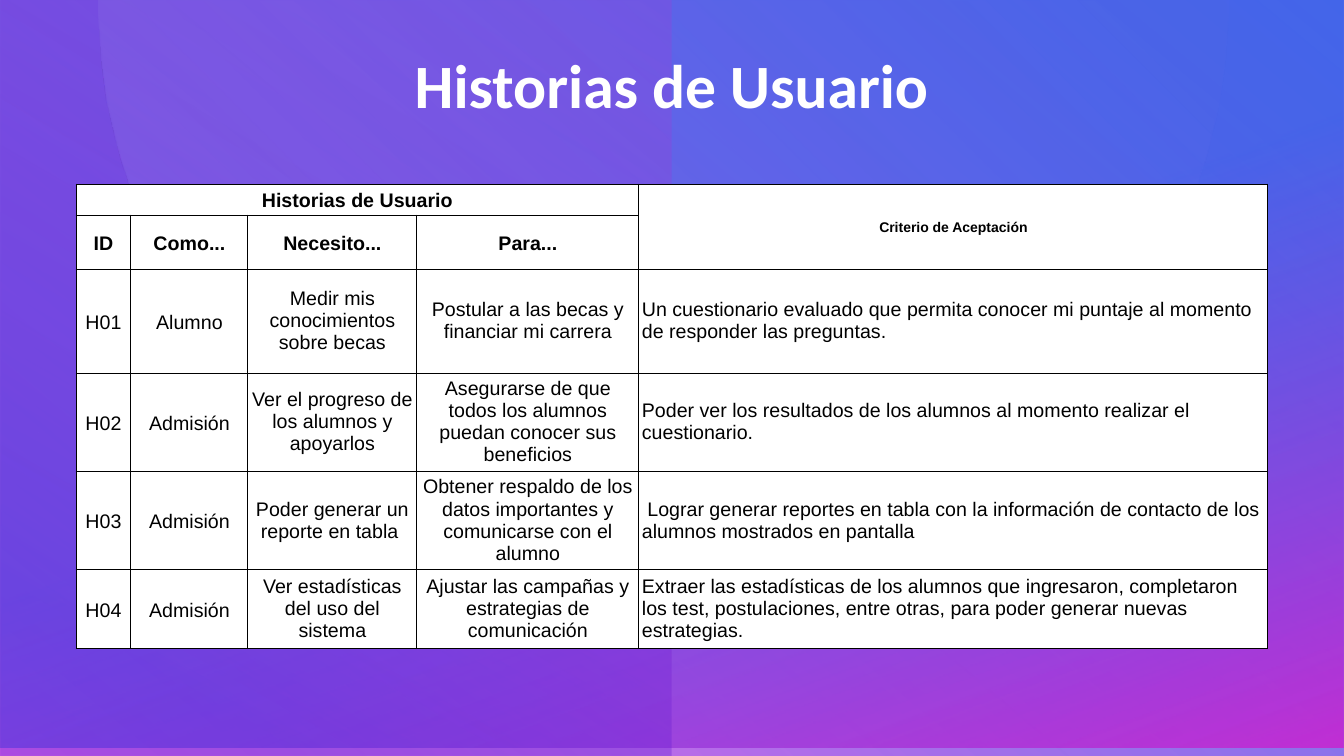
from math import cos, pi, sin

from pptx import Presentation
from pptx.dml.color import RGBColor
from pptx.enum.shapes import MSO_SHAPE
from pptx.enum.text import MSO_ANCHOR, PP_ALIGN
from pptx.oxml import parse_xml
from pptx.oxml.ns import nsdecls, qn
from pptx.util import Pt

RECTANGLE = MSO_SHAPE.RECTANGLE
MIDDLE = MSO_ANCHOR.MIDDLE
CENTER = PP_ALIGN.CENTER
LEFT = PP_ALIGN.LEFT

WIDTH, HEIGHT = 1344, 756
SCALE = 12192000 / WIDTH
COLORS = {
    "white": "FFFFFF",
    "black": "000000",
    "blue": "2950E7",
    "violet": "4922D7",
    "magenta": "D517CC",
    "pink": "EF68E9",
    "lavender": "8F77E9",
}
COLUMNS = [55, 117, 169, 222, 423, 206]
ROWS = [30, 54, 104, 92, 93, 79]
HEADINGS = ["ID", "Como...", "Necesito...", "Para..."]
STORIES = [
    ("H01", "Alumno", "Medir mis conocimientos sobre becas",
     "Postular a las becas y financiar mi carrera",
     "Un cuestionario evaluado que permita conocer mi puntaje al momento "
     "de responder las preguntas."),
    ("H02", "Admisión", "Ver el progreso de los alumnos y apoyarlos",
     "Asegurarse de que todos los alumnos puedan conocer sus beneficios",
     "Poder ver los resultados de los alumnos al momento realizar el cuestionario."),
    ("H03", "Admisión", "Poder generar un reporte en tabla ",
     "Obtener respaldo de los datos importantes y comunicarse con el alumno",
     " Lograr generar reportes en tabla con la información de contacto de los "
     "alumnos mostrados en pantalla"),
    ("H04", "Admisión", "Ver estadísticas del uso del sistema",
     "Ajustar las campañas y estrategias de comunicación",
     "Extraer las estadísticas de los alumnos que ingresaron, completaron los test, "
     "postulaciones, entre otras, para poder generar nuevas estrategias."),
]


def px(length):
    return round(length * SCALE)


def color(name):
    return RGBColor.from_string(COLORS[name])


class Slide:
    def __init__(self, page):
        self.page = page

    def plain(self, shape):
        shape.shadow.inherit = False
        shape.line.fill.background()
        return shape

    def gradient(self, shape, stops, angle):
        shape.fill.background()
        stop_xml = "".join(
            f'<a:gs pos="{position * 1000}"><a:srgbClr val="{COLORS[name]}">'
            f'<a:alpha val="{alpha * 1000}"/></a:srgbClr></a:gs>'
            for position, name, alpha in stops
        )
        fill = parse_xml(
            f'<a:gradFill {nsdecls("a")} rotWithShape="1"><a:gsLst>{stop_xml}</a:gsLst>'
            f'<a:lin ang="{angle * 60000}" scaled="0"/></a:gradFill>'
        )
        properties = shape._element.spPr
        properties.replace(properties.find(qn("a:noFill")), fill)

    def rectangle(self, x, y, width, height):
        return self.plain(self.page.shapes.add_shape(
            RECTANGLE, px(x), px(y), px(width), px(height)))

    def turned_panel(self, x, y, width, height, stops, angle, flipped):
        panel = self.rectangle(x, y, width, height)
        panel.rotation = 180
        if flipped:
            panel._element.spPr.find(qn("a:xfrm")).set("flipH", "1")
        self.gradient(panel, stops, angle)

    def half_disc(self, x, y, radius, stops, angle, rotation):
        steps = 120
        arc = [(x + radius * sin(pi * step / steps), y - radius * cos(pi * step / steps))
               for step in range(steps + 1)]
        builder = self.page.shapes.build_freeform(*arc[0], scale=SCALE)
        builder.add_line_segments(arc[1:], close=True)
        disc = self.plain(builder.convert_to_shape())
        disc.rotation = rotation
        self.gradient(disc, stops, angle)

    def set_text(self, frame, text, size, name, font="Arial", bold=False,
                 align=CENTER, spacing=None):
        frame.word_wrap = True
        para = frame.paragraphs[0]
        para.text = text
        para.alignment = align
        para.line_spacing = spacing
        para.font.name = font
        para.font.size = Pt(size)
        para.font.bold = bold
        para.font.color.rgb = color(name)

    def title(self, x, y, width, height, text):
        box = self.page.shapes.add_textbox(px(x), px(y), px(width), px(height))
        frame = box.text_frame
        frame.margin_left = frame.margin_right = 0
        frame.margin_top = frame.margin_bottom = 0
        frame.vertical_anchor = MIDDLE
        self.set_text(frame, text, 44, "white", font="Calibri", bold=True)

    def table(self, x, y, columns, rows):
        table = self.page.shapes.add_table(
            len(rows), len(columns), px(x), px(y), px(sum(columns)), px(sum(rows))).table
        table.first_row = table.horz_banding = False
        for column, width in zip(table.columns, columns):
            column.width = px(width)
        for row, height in zip(table.rows, rows):
            row.height = px(height)
        for cell in table.iter_cells():
            self.style_cell(cell)
        return table

    def style_cell(self, cell):
        cell.margin_left = cell.margin_right = px(3)
        cell.margin_top = cell.margin_bottom = px(2)
        cell.vertical_anchor = MIDDLE
        cell.fill.solid()
        cell.fill.fore_color.rgb = color("white")
        properties = cell._tc.get_or_add_tcPr()
        for index, side in enumerate(("lnL", "lnR", "lnT", "lnB")):
            properties.insert(index, parse_xml(
                f'<a:{side} {nsdecls("a")} w="{Pt(0.8)}"><a:solidFill>'
                f'<a:srgbClr val="{COLORS["black"]}"/></a:solidFill></a:{side}>'))

    def cell(self, table, row, column, text, size=14, bold=False,
             align=CENTER, spacing=None, down=1, across=1):
        cell = table.cell(row, column)
        if down * across > 1:
            cell.merge(table.cell(row + down - 1, column + across - 1))
        self.set_text(cell.text_frame, text, size, "black", bold=bold,
                      align=align, spacing=spacing)


def main():
    deck = Presentation()
    deck.slide_width, deck.slide_height = px(WIDTH), px(HEIGHT)
    slide = Slide(deck.slides.add_slide(deck.slide_layouts[6]))

    base = slide.rectangle(0, 0, WIDTH, HEIGHT)
    base.fill.solid()
    base.fill.fore_color.rgb = color("white")
    slide.turned_panel(0, 0, WIDTH, HEIGHT,
                       [(0, "blue", 75), (100, "pink", 100)], 230, True)
    slide.turned_panel(0, -8, WIDTH, HEIGHT,
                       [(0, "blue", 50), (49, "blue", 50), (100, "magenta", 74)], 250, False)
    slide.turned_panel(0, 0, WIDTH // 2, HEIGHT,
                       [(0, "magenta", 17), (85, "violet", 40), (100, "violet", 40)], 240, True)
    slide.half_disc(381, 282, 565,
                    [(0, "lavender", 3), (7, "lavender", 3), (100, "lavender", 37)], 45, 90)
    slide.title(168, 32, 1008, 103, "Historias de Usuario")

    table = slide.table(76, 184, COLUMNS, ROWS)
    slide.cell(table, 0, 0, "Historias de Usuario", bold=True, spacing=1.15, across=4)
    slide.cell(table, 0, 4, "Criterio de Aceptación", size=10, bold=True,
               spacing=1.15, down=2, across=2)
    for column, heading in enumerate(HEADINGS):
        slide.cell(table, 1, column, heading, bold=True, spacing=1.15)
    for row, (*details, criterion) in enumerate(STORIES, start=2):
        for column, text in enumerate(details):
            slide.cell(table, row, column, text, spacing=1.15 if column < 2 else None)
        slide.cell(table, row, 4, criterion, align=LEFT, across=2)

    deck.save("out.pptx")


if __name__ == "__main__":
    main()
